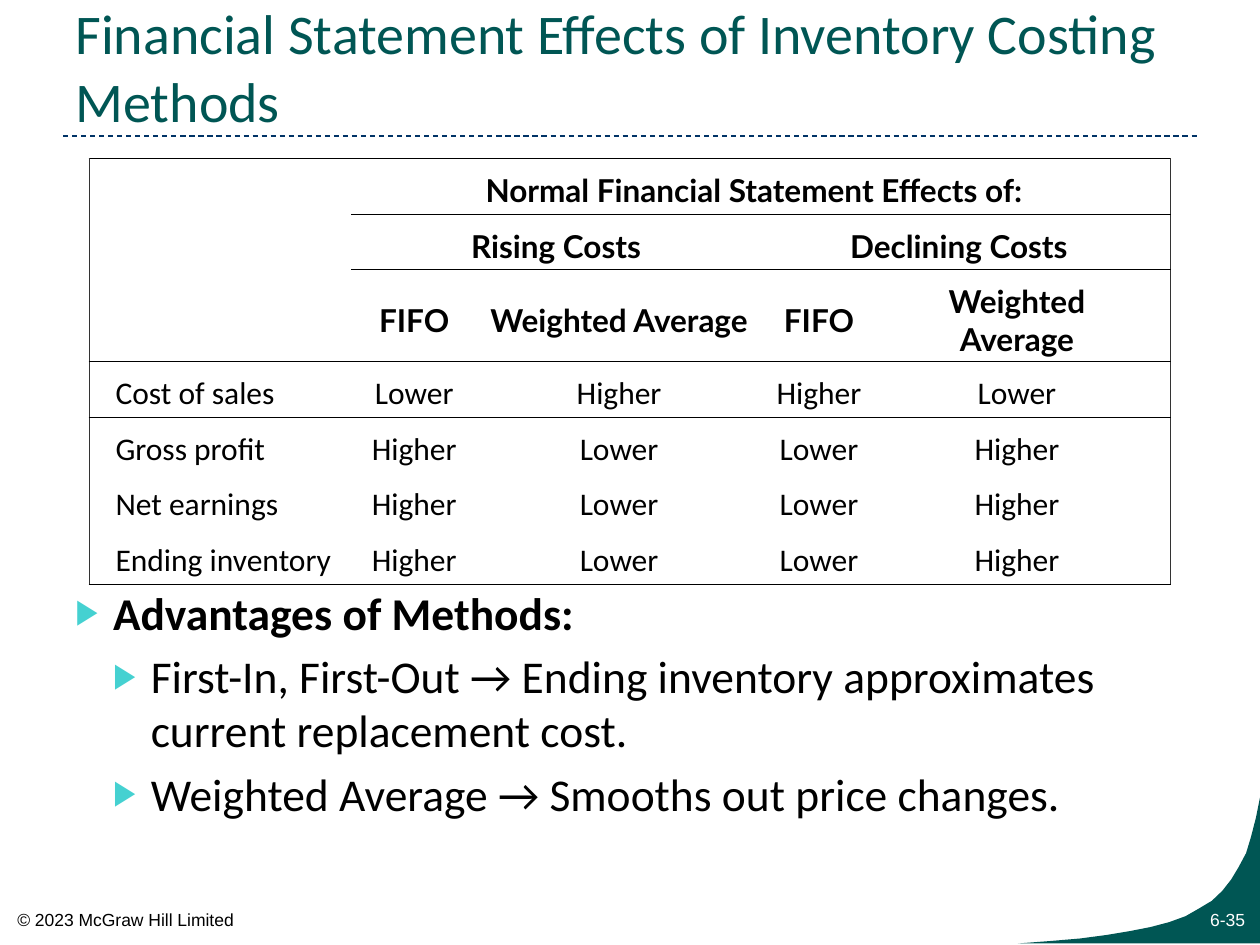
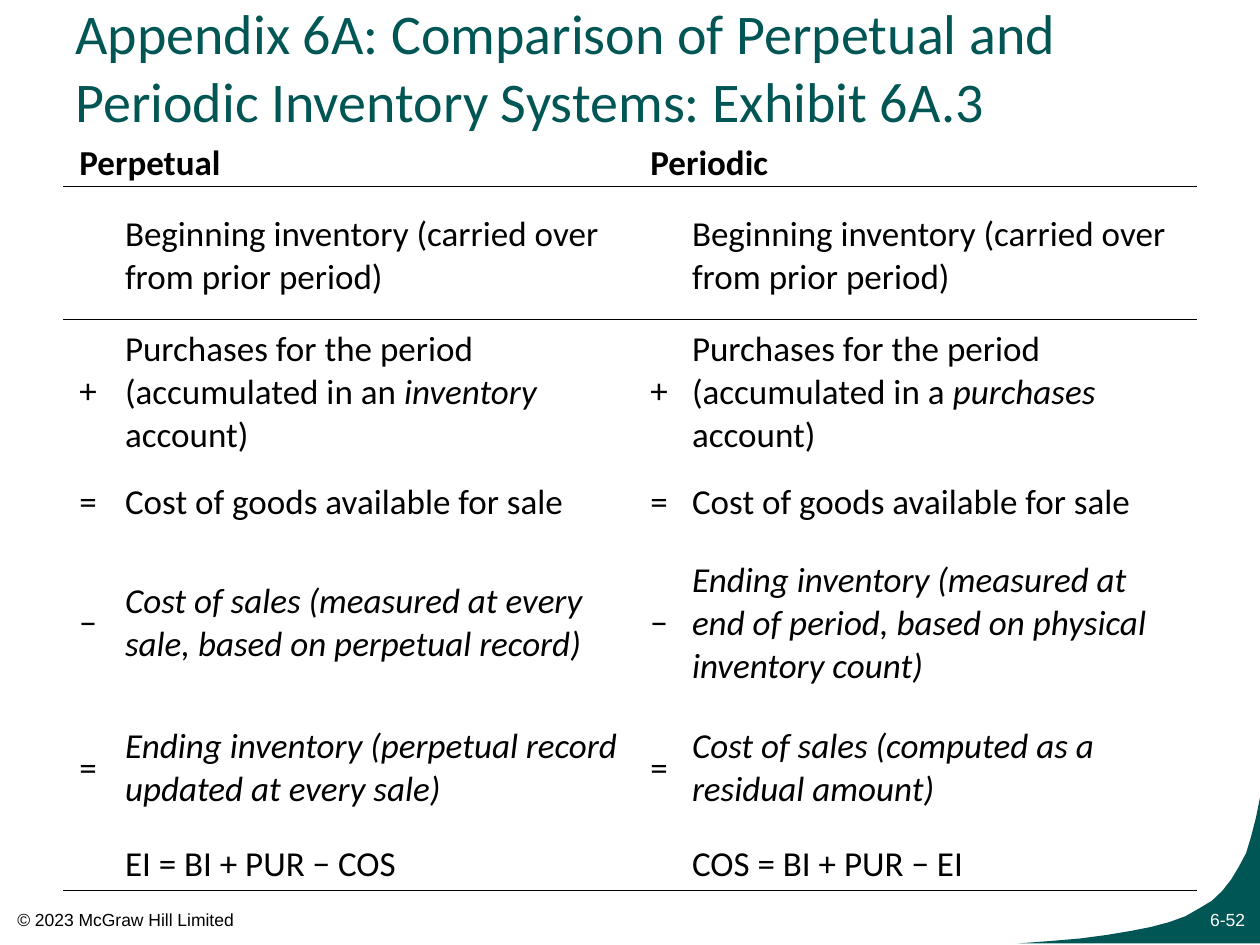
from dataclasses import dataclass

from lxml import etree
from pptx import Presentation, util as u
from pptx.dml.color import RGBColor
from pptx.enum import dml, shapes, text
from pptx.oxml.ns import qn


@dataclass(frozen=True)
class Theme:
    teal: str = "005654"
    aqua: str = "45D1D1"
    navy: str = "003366"
    black: str = "000000"
    gray: str = "333333"
    white: str = "FFFFFF"
    body: str = "Calibri"
    head: str = "Lato"
    small: str = "Arial"
    title: int = 32
    list: int = 26
    grid: int = 20
    cell: int = 18
    foot: int = 10


T = Theme()
LEFT, MID, RIGHT = text.PP_ALIGN.LEFT, text.PP_ALIGN.CENTER, text.PP_ALIGN.RIGHT
NO_STYLE = "{2D5ABB26-0587-4C30-8999-92F81FD0307C}"

# Content: *stars* mark italics; lengths are in cm
FOOT = "© 2023 McGraw Hill Limited"

EFFECTS = dict(
    rows=[
        ("", "Normal Financial Statement Effects of:", "", "", ""),
        ("", "Rising Costs", "", "Declining Costs", ""),
        ("", "FIFO", "Weighted Average", "FIFO", "Weighted Average"),
        ("Cost of sales", "Lower", "Higher", "Higher", "Lower"),
        ("Gross profit", "Higher", "Lower", "Lower", "Higher"),
        ("Net earnings", "Higher", "Lower", "Lower", "Higher"),
        ("Ending inventory", "Higher", "Lower", "Lower", "Higher"),
    ],
    at=(1.8, 3.2),
    wide=(5.28, 2.54, 5.72, 2.34, 5.92),
    high=(1.12, 1.12, 1.17, 1.12, 1.12, 1.12, 1.12),
    spans={(0, 1): 4, (1, 1): 2, (1, 3): 2},
    rules={-1: 0, 0: 1, 1: 1, 2: 0, 6: 0},  # row above the line: first column
    heads=3, face=T.head, size=T.cell, align=MID, frame=True,
    pad=(0.25, 0.53, 0.08),  # inner, outer, bottom
)

SYSTEMS = dict(
    rows=[
        ("Perpetual", "", "Periodic", ""),
        ("", "Beginning inventory (carried over from prior period)",
         "", "Beginning inventory (carried over from prior period)"),
        ("+", "Purchases for the period (accumulated in an *inventory* account)",
         "+", "Purchases for the period (accumulated in a *purchases* account)"),
        ("=", "Cost of goods available for sale",
         "=", "Cost of goods available for sale"),
        ("−", "*Cost of sales (measured at every sale, based on perpetual record)*",
         "−", "*Ending inventory (measured at end of period, based on physical "
              "inventory count)*"),
        ("=", "*Ending inventory (perpetual record updated at every sale)*",
         "=", "*Cost of sales (computed as a residual amount)*"),
        ("", "EI = BI + PUR − COS", "", "COS = BI + PUR − EI"),
    ],
    at=(1.27, 2.69),
    wide=(1.07, 10.59, 0.84, 10.36),
    high=(1.07, 2.67, 2.77, 1.7, 3.18, 2.67, 1.19),
    spans={(0, 0): 2, (0, 2): 2},
    rules={0: 0, 6: 0},
    heads=1, face=T.body, size=T.grid, align=LEFT, frame=False,
    pad=(0.18, 0.33, 0.05),
)

POINTS = [  # level, text
    (0, "Advantages of Methods:"),
    (1, "First-In, First-Out → Ending inventory approximates current replacement cost."),
    (1, "Weighted Average → Smooths out price changes."),
]

SLIDES = [
    dict(title="Financial Statement Effects of Inventory Costing Methods",
         page="6-35", table=EFFECTS, points=POINTS),
    dict(title="Appendix 6A: Comparison of Perpetual and Periodic Inventory "
               "Systems: Exhibit 6A.3",
         page="6-52", table=SYSTEMS, points=[]),
]

CURVE = [
    (20.52, 19.02), (21.18, 18.97), (21.77, 18.92), (22.3, 18.85), (22.78, 18.77),
    (23.19, 18.69), (23.57, 18.59), (23.9, 18.47), (24.18, 18.31), (24.43, 18.16),
    (24.64, 17.96), (24.82, 17.73), (24.97, 17.48), (25.12, 17.2), (25.22, 16.87),
    (25.32, 16.48), (25.4, 16.08), (25.4, 19.02),
]


def rgb(tone):
    return RGBColor.from_string(tone)


def sub(node, tag, **attrs):
    return etree.SubElement(node, qn(tag), attrs)


def put(para, words, size=T.cell, tone=T.black, face=T.body, bold=False,
        align=LEFT, before=0):
    """Write words into a paragraph; parts between stars are italic."""
    para.alignment = align
    if before:
        para.space_before = u.Pt(before)
    for n, part in enumerate(words.split("*")):
        if part:
            run = para.add_run()
            run.text = part
            font = run.font
            font.size, font.name = u.Pt(size), face
            font.bold, font.italic = bold, n % 2 == 1
            font.color.rgb = rgb(tone)


def box(slide, left, top, wide, high, wrap=True, low=0.13):
    frame = slide.shapes.add_textbox(*map(u.Cm, (left, top, wide, high))).text_frame
    frame.word_wrap = wrap
    frame.margin_bottom = u.Cm(low)
    return frame


def bullet(para, level):
    props = para._p.get_or_add_pPr()
    props.set("marL", str(u.Cm(0.76 * (level + 1))))
    props.set("indent", str(-u.Cm(0.76)))
    sub(sub(props, "a:buClr"), "a:srgbClr", val=T.aqua)
    sub(props, "a:buSzPct", val="76000")
    sub(props, "a:buFont", typeface=T.small)
    sub(props, "a:buChar", char="▶")


def edge(cell, sides):
    """Draw the given sides (L, R, T, B) of a cell."""
    props = cell._tc.get_or_add_tcPr()
    for n, side in enumerate(s for s in "LRTB" if s in sides):
        line = etree.Element(qn("a:ln" + side), w=str(u.Pt(0.75)))
        tone = T.gray if side in "LR" else T.black
        sub(sub(line, "a:solidFill"), "a:srgbClr", val=tone)
        props.insert(n, line)


def grid(slide, rows, at, wide, high, spans, rules, heads, face, size, align,
         frame, pad):
    last = len(wide) - 1
    table = slide.shapes.add_table(
        len(rows), len(wide), *map(u.Cm, (*at, sum(wide), sum(high)))).table
    table._tbl.tblPr.find(qn("a:tableStyleId")).text = NO_STYLE
    table.first_row = table.horz_banding = False
    for col, size_w in zip(table.columns, wide):
        col.width = u.Cm(size_w)
    for row, size_h in zip(table.rows, high):
        row.height = u.Cm(size_h)
    for (r, c), count in spans.items():
        table.cell(r, c).merge(table.cell(r, c + count - 1))

    inner, outer, low = pad
    for r, row in enumerate(rows):
        for c, words in enumerate(row):
            cell = table.cell(r, c)
            end = c + spans.get((r, c), 1) - 1 == last
            cell.fill.solid()
            cell.fill.fore_color.rgb = rgb(T.white)
            cell.vertical_anchor = text.MSO_ANCHOR.MIDDLE
            cell.margin_left = u.Cm(inner if c else outer)
            cell.margin_right = u.Cm(outer if end else inner)
            cell.margin_top, cell.margin_bottom = u.Cm(inner), u.Cm(low)
            sides = "L" if frame and c == 0 else ""
            sides += "R" if frame and end else ""
            sides += "T" if c >= rules.get(r - 1, 99) else ""
            sides += "B" if c >= rules.get(r, 99) else ""
            edge(cell, sides)
            top = r < heads
            put(cell.text_frame.paragraphs[0], words, size=size, bold=top,
                face=face if top else T.body, align=align if c else LEFT)


def base(slide, title, page):
    """Draw what every slide shares."""
    # Dashed line under the title
    rule = slide.shapes.add_connector(
        shapes.MSO_CONNECTOR.STRAIGHT, *map(u.Cm, (1.27, 2.74, 24.13, 2.74)))
    rule.line.color.rgb = rgb(T.navy)
    rule.line.width = u.Pt(0.75)
    rule.line.dash_style = dml.MSO_LINE.DASH
    sub(rule._element.spPr, "a:effectLst")

    # Curved corner
    spots = [(u.Cm(x), u.Cm(y)) for x, y in CURVE]
    pen = slide.shapes.build_freeform(*spots[0])
    pen.add_line_segments(spots[1:], close=True)
    corner = pen.convert_to_shape()
    corner.shadow.inherit = False
    corner.fill.solid()
    corner.fill.fore_color.rgb = rgb(T.teal)
    corner.line.fill.background()

    # Page number, footer and title
    put(box(slide, 22.86, 18.19, 2.49, 0.69).paragraphs[0], page,
        size=T.foot, tone=T.white, face=T.small, align=RIGHT)
    put(box(slide, 0.1, 18.21, 4.93, 0.69, wrap=False).paragraphs[0], FOOT,
        size=T.foot, face=T.small)
    frame = box(slide, 1.27, 0.56, 22.86, 2.21, low=0.08)
    frame.vertical_anchor = text.MSO_ANCHOR.BOTTOM
    put(frame.paragraphs[0], title, size=T.title, tone=T.teal)


def notes(slide, points):
    frame = box(slide, 1.27, 11.66, 22.86, 6.3)
    for n, (level, words) in enumerate(points):
        para = frame.add_paragraph() if n else frame.paragraphs[0]
        bullet(para, level)
        put(para, words, size=T.list, bold=level == 0, before=5 if n else 0)


def main():
    deck = Presentation()
    deck.slide_width, deck.slide_height = u.Cm(25.4), u.Cm(19.05)
    for item in SLIDES:
        slide = deck.slides.add_slide(deck.slide_layouts[6])
        base(slide, item["title"], item["page"])
        if item["points"]:
            notes(slide, item["points"])
        grid(slide, **item["table"])
    deck.save("out.pptx")


if __name__ == "__main__":
    main()
